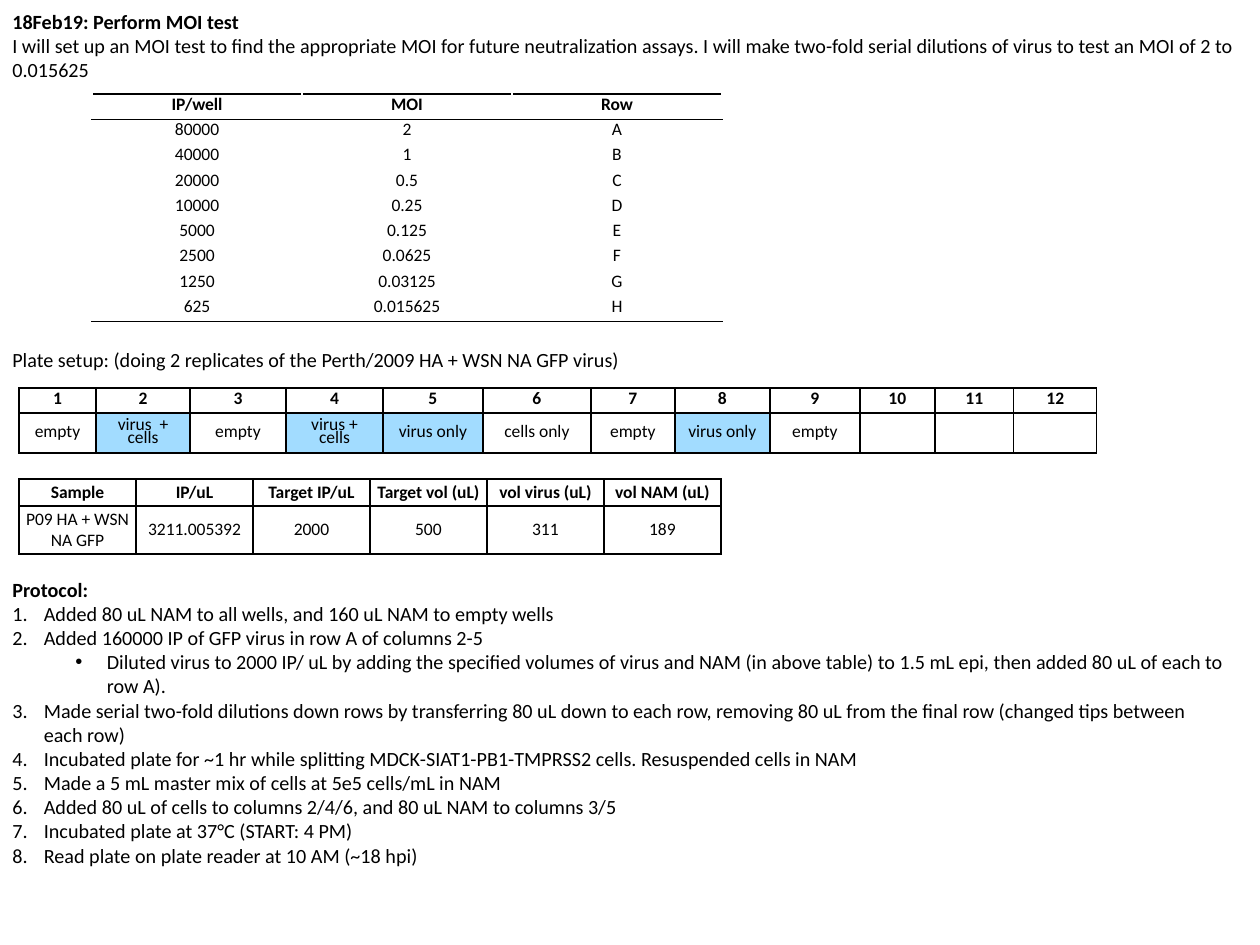
from lxml import etree
from pptx import Presentation
from pptx.dml.color import RGBColor
from pptx.enum.text import MSO_ANCHOR, PP_ALIGN
from pptx.oxml.ns import qn
from pptx.util import Pt

PIXEL = 914400 // 126
BLACK = RGBColor(0x00, 0x00, 0x00)
WHITE = RGBColor(0xFF, 0xFF, 0xFF)
VIRUS_BLUE = RGBColor(0xA2, 0xDC, 0xFF)
CENTER = PP_ALIGN.CENTER
TOP, MIDDLE = MSO_ANCHOR.TOP, MSO_ANCHOR.MIDDLE

deck = Presentation()
deck.slide_width = 1260 * PIXEL
deck.slide_height = 945 * PIXEL
page = deck.slides.add_slide(deck.slide_layouts[6])


def add_text(left, top, width, height, lines):
    """Add a text box whose first line is a bold heading."""
    box = page.shapes.add_textbox(left * PIXEL, top * PIXEL, width * PIXEL, height * PIXEL)
    frame = box.text_frame
    frame.word_wrap = True
    for index, line in enumerate(lines):
        para = frame.paragraphs[0] if index == 0 else frame.add_paragraph()
        para.text = line
        para.font.name = "Calibri"
        para.font.size = Pt(11.5)
        para.font.bold = index == 0
        para.font.color.rgb = BLACK
    return frame.paragraphs


def add_grid(left, top, widths, heights, rows, anchor, spacing, insets, ruled):
    """Add a table with a bold first row; unruled tables keep only three black rules."""
    shape = page.shapes.add_table(len(rows), len(widths), left * PIXEL, top * PIXEL,
                                  sum(widths) * PIXEL, sum(heights) * PIXEL)
    table = shape.table
    table.horz_banding = False
    for column, width in zip(table.columns, widths):
        column.width = width * PIXEL
    for r, (height, texts) in enumerate(zip(heights, rows)):
        table.rows[r].height = height * PIXEL
        for c, text in enumerate(texts):
            cell = table.cell(r, c)
            cell.vertical_anchor = anchor
            if insets:
                cell.margin_left = cell.margin_right = insets[0] * PIXEL
                cell.margin_top = cell.margin_bottom = insets[1] * PIXEL
            if "virus" in text and r > 0:
                cell.fill.solid()
                cell.fill.fore_color.rgb = VIRUS_BLUE
            else:
                cell.fill.background()
            para = cell.text_frame.paragraphs[0]
            para.text = text
            para.alignment = CENTER
            para.line_spacing = spacing
            para.font.name = "Calibri"
            para.font.size = Pt(10)
            para.font.bold = r == 0
            para.font.color.rgb = BLACK

            # Borders come before the fill in the cell properties
            black_sides = {"lnL": ruled, "lnR": ruled, "lnT": ruled or r <= 1,
                           "lnB": ruled or r in (0, len(rows) - 1)}
            properties = cell._tc.get_or_add_tcPr()
            for position, (side, is_black) in enumerate(black_sides.items()):
                border = etree.Element(qn("a:" + side), w=str(Pt(1)))
                fill = etree.SubElement(border, qn("a:solidFill"))
                color = BLACK if is_black else WHITE
                etree.SubElement(fill, qn("a:srgbClr"), val=str(color))
                properties.insert(position, border)


# Introduction and plate caption
intro = add_text(0, 3, 1260, 476, [
    "18Feb19: Perform MOI test",
    "I will set up an MOI test to find the appropriate MOI for future neutralization assays. "
    "I will make two-fold serial dilutions of virus to test an MOI of 2 to 0.015625",
    "Plate setup: (doing 2 replicates of the Perth/2009 HA + WSN NA GFP virus)",
])
intro[2].space_before = Pt(152)

# Two-fold dilution series
dilutions = [("IP/well", "MOI", "Row")]
for step, row_name in enumerate("ABCDEFGH"):
    dilutions.append((str(80000 // 2 ** step), f"{2 / 2 ** step:g}", row_name))
add_grid(92, 94, [210] * 3, [25] * 9, dilutions, TOP, 0.6, None, False)

# Plate columns
plate = [
    [str(number) for number in range(1, 13)],
    ["empty", "virus  + cells", "empty", "virus + cells", "virus only", "cells only",
     "empty", "virus only", "empty", "", "", ""],
]
plate_widths = [77, 94, 96, 97, 100, 108, 84, 95, 90, 75, 79, 83]
add_grid(19, 388, plate_widths, [25, 40], plate, MIDDLE, 0.6, None, True)

# Virus dilution volumes
volumes = [
    ["Sample", "IP/uL", "Target IP/uL", "Target vol (uL)", "vol virus (uL)", "vol NAM (uL)"],
    ["P09 HA + WSN NA GFP", "3211.005392", "2000", "500", "311", "189"],
]
add_grid(19, 479, [117] * 6, [27, 48], volumes, MIDDLE, 1.0, (4, 2), True)

# Protocol
DETAIL = 3
protocol = add_text(0, 571, 1237, 305, [
    "Protocol:",
    "Added 80 uL NAM to all wells, and 160 uL NAM to empty wells",
    "Added 160000 IP of GFP virus in row A of columns 2-5",
    "Diluted virus to 2000 IP/ uL by adding the specified volumes of virus and NAM "
    "(in above table) to 1.5 mL epi, then added 80 uL of each to row A).",
    "Made serial two-fold dilutions down rows by transferring 80 uL down to each row, "
    "removing 80 uL from the final row (changed tips between each row)",
    "Incubated plate for ~1 hr while splitting MDCK-SIAT1-PB1-TMPRSS2 cells. "
    "Resuspended cells in NAM",
    "Made a 5 mL master mix of cells at 5e5 cells/mL in NAM",
    "Added 80 uL of cells to columns 2/4/6, and 80 uL NAM to columns 3/5",
    "Incubated plate at 37°C (START: 4 PM)",
    "Read plate on plate reader at 10 AM (~18 hpi)",
])
for index, para in enumerate(protocol[1:], start=1):
    is_detail = index == DETAIL
    para.level = int(is_detail)
    properties = para._p.get_or_add_pPr()
    properties.set("marL", str(Pt(54 if is_detail else 18)))
    properties.set("indent", str(-Pt(18)))
    if is_detail:
        font = etree.Element(qn("a:buFont"), typeface="Arial")
        marks = [font, etree.Element(qn("a:buChar"), char="•")]
    else:
        marks = [etree.Element(qn("a:buAutoNum"), type="arabicPeriod")]
    for position, mark in enumerate(marks):
        properties.insert(position, mark)

deck.save("out.pptx")
